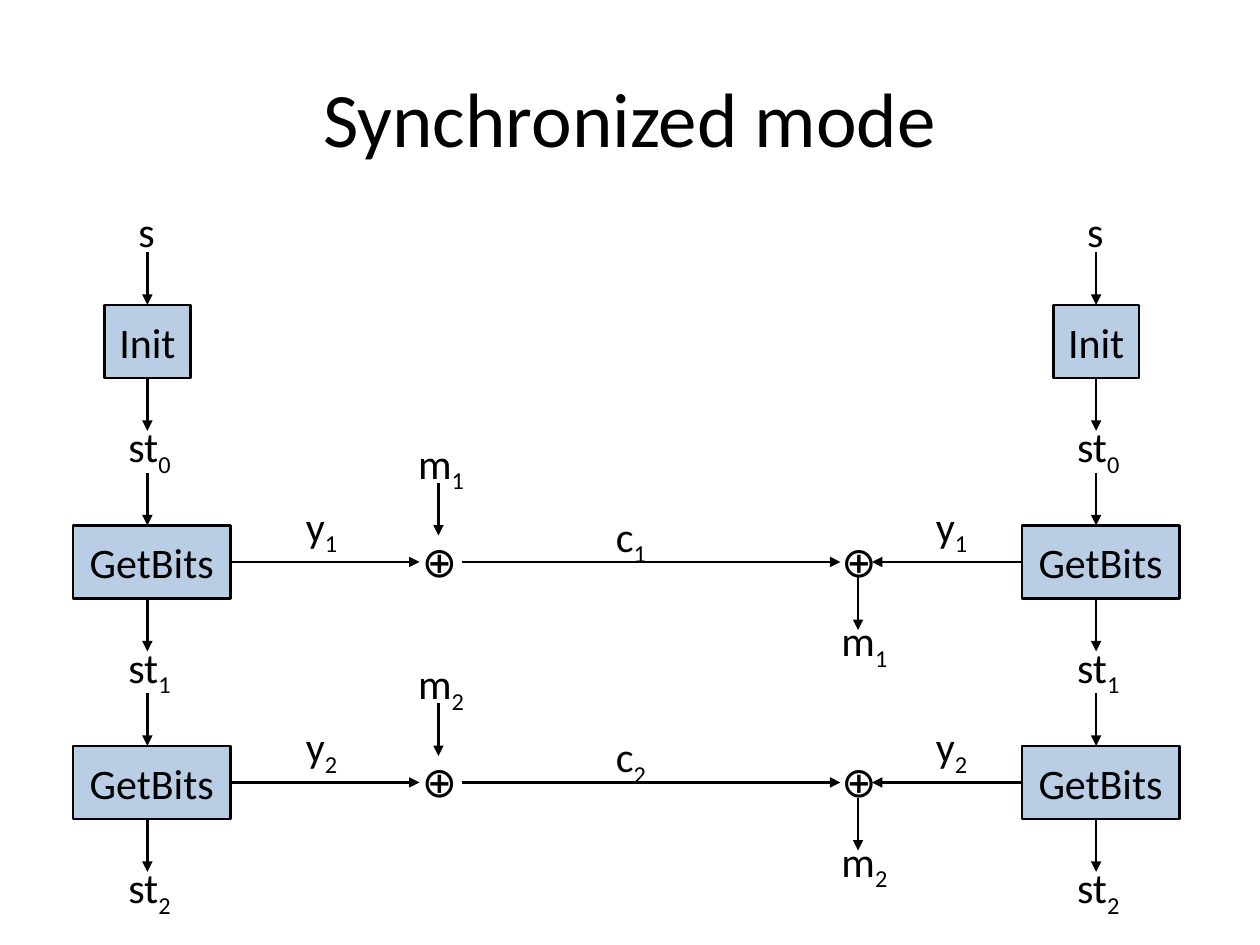
from lxml import etree
from pptx import Presentation
from pptx import util as u
from pptx.dml.color import RGBColor
from pptx.enum import shapes, text
from pptx.oxml.ns import qn


def color(value):
    return RGBColor.from_string(value)


class Diagram:
    """Draws styled labels, boxes and arrows on one slide."""

    font, ink, fill = "Calibri", "000000", "B9CDE5"
    size, line_width = 24, 1.5

    def __init__(self, slide):
        self.slide = slide

    def style(self, span, size):
        span.font.name = self.font
        span.font.size = u.Pt(size)
        span.font.color.rgb = color(self.ink)

    def title(self, words, left, top, width, height):
        box = self.slide.shapes.add_textbox(*map(u.Inches, (left, top, width, height)))
        frame = box.text_frame
        frame.word_wrap = True
        frame.vertical_anchor = text.MSO_ANCHOR.MIDDLE
        frame.text = words
        para = frame.paragraphs[0]
        para.alignment = text.PP_ALIGN.CENTER
        self.style(para.runs[0], 44)

    def label(self, words, left, top, width, subscript=None):
        box = self.slide.shapes.add_textbox(*map(u.Inches, (left, top, width, 0.5)))
        frame = box.text_frame
        frame.word_wrap = False
        frame.auto_size = text.MSO_AUTO_SIZE.SHAPE_TO_FIT_TEXT
        frame.text = words
        para = frame.paragraphs[0]
        if subscript is not None:
            span = para.add_run()
            span.text = str(subscript)
            span._r.get_or_add_rPr().set("baseline", "-25000")
        for span in para.runs:
            self.style(span, self.size)

    def box(self, words, left, top, width):
        box = self.slide.shapes.add_shape(
            shapes.MSO_SHAPE.RECTANGLE, *map(u.Inches, (left, top, width, 0.58)))
        box.shadow.inherit = False
        box.fill.solid()
        box.fill.fore_color.rgb = color(self.fill)
        box.line.color.rgb = color(self.ink)
        box.line.width = u.Pt(self.line_width)
        frame = box.text_frame
        frame.vertical_anchor = text.MSO_ANCHOR.MIDDLE
        frame.text = words
        para = frame.paragraphs[0]
        para.alignment = text.PP_ALIGN.CENTER
        self.style(para.runs[0], self.size)
        return box

    def arrow(self, x1, y1, x2, y2, begin=None, end=None):
        arrow = self.slide.shapes.add_connector(
            shapes.MSO_CONNECTOR.STRAIGHT, *map(u.Inches, (x1, y1, x2, y2)))
        arrow.line.color.rgb = color(self.ink)
        arrow.line.width = u.Pt(self.line_width)
        etree.SubElement(arrow.line._get_or_add_ln(), qn("a:tailEnd"), type="triangle")
        etree.SubElement(arrow._element.spPr, qn("a:effectLst"))
        if begin:
            arrow.begin_connect(*begin)
        if end:
            arrow.end_connect(*end)

    def down(self, x, y, **joints):
        self.arrow(x, y, x, y + 0.42, **joints)


def draw_start(diagram, x):
    diagram.label("s", x - 0.17, 1.58, 0.33)
    init = diagram.box("Init", x - 0.34, 2.42, 0.68)
    diagram.down(x, 2, end=(init, 0))
    diagram.down(x, 3, begin=(init, 2))
    diagram.label("st", x - 0.25, 3.29, 0.56, 0)


def draw_step(diagram, x, top, step):
    diagram.down(x, top - 0.42)
    box = diagram.box("GetBits", x - 0.59, top, 1.25)
    diagram.down(x, top + 0.58)
    diagram.label("st", x - 0.25, top + 0.87, 0.56, step)
    return box


def draw_exchange(diagram, sender, receiver, top, step):
    middle = top + 0.29
    diagram.arrow(1.83, middle, 3.33, middle, begin=(sender, 3))
    diagram.arrow(3.67, middle, 6.67, middle)
    diagram.arrow(8.11, middle, 6.92, middle, begin=(receiver, 1))
    diagram.down(3.48, top - 0.34)
    diagram.down(6.81, top + 0.41)
    for left in (3.25, 6.58):
        diagram.label("⊕", left, top + 0.03, 0.46)
    for words, left, offset, width in (
        ("y", 2.33, -0.25, 0.47),
        ("y", 7.33, -0.25, 0.47),
        ("m", 3.22, -0.75, 0.58),
        ("m", 6.58, 0.66, 0.58),
        ("c", 4.79, -0.17, 0.46),
    ):
        diagram.label(words, left, top + offset, width, step)


def main():
    deck = Presentation()
    deck.slide_width, deck.slide_height = u.Inches(10), u.Inches(7.5)
    diagram = Diagram(deck.slides.add_slide(deck.slide_layouts[6]))
    diagram.title("Synchronized mode", 0.5, 0.3, 9, 1.25)
    columns = (1.17, 8.7)
    for x in columns:
        draw_start(diagram, x)
    for step in (1, 2):
        top = 4.17 + 1.75 * (step - 1)
        sender, receiver = [draw_step(diagram, x, top, step) for x in columns]
        draw_exchange(diagram, sender, receiver, top, step)
    deck.save("out.pptx")


if __name__ == "__main__":
    main()
